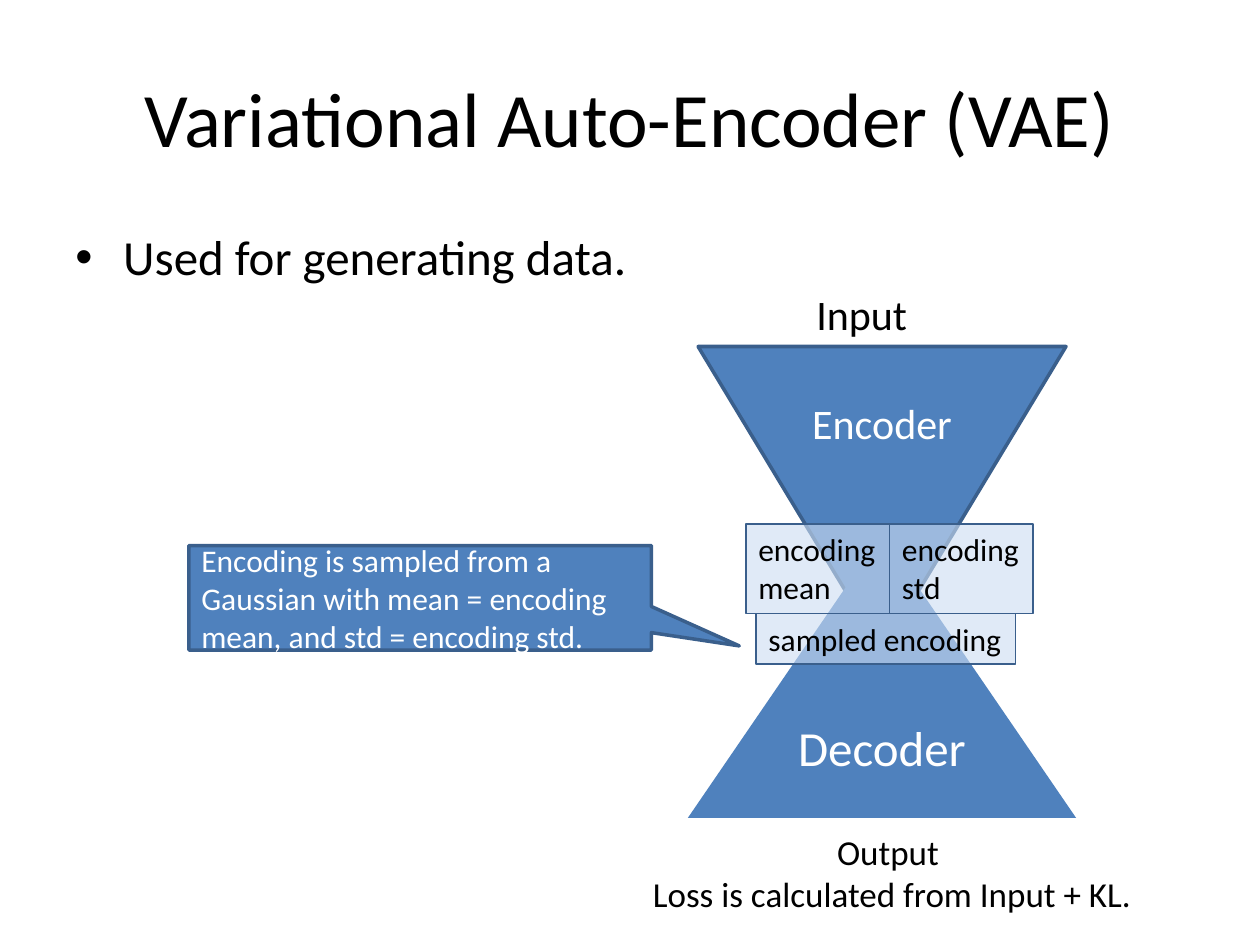
from dataclasses import dataclass
from typing import Optional

import pptx
import pptx.dml.color
import pptx.enum.shapes
import pptx.enum.text
import pptx.util
from lxml import etree
from pptx.oxml.ns import qn

Inches = pptx.util.Inches
Pt = pptx.util.Pt
Kind = pptx.enum.shapes.MSO_SHAPE
Align = pptx.enum.text.PP_ALIGN
Anchor = pptx.enum.text.MSO_ANCHOR

FONT = "Calibri"
BLUE, EDGE, PALE = "4F81BD", "3A5F8C", "CDDEF3"
BLACK, WHITE = "000000", "FFFFFF"


@dataclass
class Part:
    """One box of the slide; without a kind it is a plain text box."""
    box: tuple[float, float, float, float]
    lines: list[str]
    size: float
    ink: str = BLACK
    align: Align = Align.LEFT
    anchor: Anchor = Anchor.TOP
    kind: Optional[Kind] = None
    fill: str = BLUE
    alpha: int = 100
    edge: float = 0
    wrap: bool = True
    adjust: tuple[float, ...] = ()


def color(code: str) -> pptx.dml.color.RGBColor:
    return pptx.dml.color.RGBColor.from_string(code)


def write(frame, part: Part) -> None:
    frame.word_wrap = part.wrap
    frame.vertical_anchor = part.anchor
    for i, line in enumerate(part.lines):
        para = frame.paragraphs[0] if i == 0 else frame.add_paragraph()
        para.alignment = part.align
        run = para.add_run()
        run.text = line
        run.font.name = FONT
        run.font.size = Pt(part.size)
        run.font.color.rgb = color(part.ink)


def paint(shape, part: Part) -> None:
    shape.shadow.inherit = False
    shape.fill.solid()
    shape.fill.fore_color.rgb = color(part.fill)
    if part.alpha < 100:
        tint = shape.fill._xPr.find(qn("a:solidFill"))[0]
        etree.SubElement(tint, qn("a:alpha"), val=str(part.alpha * 1000))
    if part.edge:
        shape.line.color.rgb = color(EDGE)
        shape.line.width = Pt(part.edge)
    else:
        shape.line.fill.background()
    for i, value in enumerate(part.adjust):
        shape.adjustments[i] = value


def draw(slide, part: Part):
    box = [Inches(n) for n in part.box]
    if part.kind is None:
        shape = slide.shapes.add_textbox(*box)
    else:
        shape = slide.shapes.add_shape(part.kind, *box)
        paint(shape, part)
    write(shape.text_frame, part)
    return shape


def bullet(para, indent: float) -> None:
    props = para._p.get_or_add_pPr()
    props.set("marL", str(Inches(indent)))
    props.set("indent", str(-Inches(indent)))
    etree.SubElement(props, qn("a:buFont"), typeface="Arial")
    etree.SubElement(props, qn("a:buChar"), char="•")


def label(box: tuple[float, float, float, float], *lines: str) -> Part:
    return Part(box, list(lines), 18, kind=Kind.RECTANGLE, fill=PALE,
                alpha=61, edge=0.75, wrap=False)


def main() -> None:
    deck = pptx.Presentation()
    deck.slide_width, deck.slide_height = Inches(10), Inches(7.5)
    slide = deck.slides.add_slide(deck.slide_layouts[5])

    # Title
    title = slide.shapes.title
    title.left, title.top = Inches(0.5), Inches(0.3)
    title.width, title.height = Inches(9), Inches(1.25)
    write(title.text_frame, Part((0.5, 0.3, 9, 1.25),
          ["Variational Auto-Encoder (VAE)"], 44,
          align=Align.CENTER, anchor=Anchor.MIDDLE))

    # Bullet text
    body = draw(slide, Part((0.5, 1.75, 5.04, 4.95),
                            ["Used for generating data."], 28))
    bullet(body.text_frame.paragraphs[0], 0.38)

    # Hourglass of encoder and decoder, then its codes and the callout
    mid = dict(align=Align.CENTER, anchor=Anchor.MIDDLE, ink=WHITE)
    left, top, wide, high = 5.92, 4.16, 1.14, 0.71
    parts = [
        Part((5.54, 2.75, 2.92, 2.42), ["Encoder"], 24,
             kind=Kind.FLOWCHART_MERGE, edge=2, **mid),
        Part((5.46, 4.24, 3.08, 2.25), ["Decoder"], 28,
             kind=Kind.FLOWCHART_EXTRACT, **mid),
        Part((6.38, 2.24, 1.92, 0.5), ["Input"], 24),
        Part((4.58, 6.54, 5, 0.77),
             ["Output ", "Loss is calculated from Input + KL."], 20,
             align=Align.CENTER),
        label((left, top, wide, high), "encoding", "mean"),
        label((left + wide, top, wide, high), "encoding", "std"),
        label((6, top + high, 2.06, 0.4), "sampled encoding"),
        Part((1.5, 4.33, 3.67, 0.83),
             ["Encoding is sampled from a Gaussian with mean = "
              "encoding mean, and std = encoding std."], 18, ink=WHITE,
             anchor=Anchor.MIDDLE, kind=Kind.RECTANGULAR_CALLOUT,
             edge=2, adjust=(0.69, 0.46)),
    ]
    for part in parts:
        draw(slide, part)

    deck.save("out.pptx")


if __name__ == "__main__":
    main()
